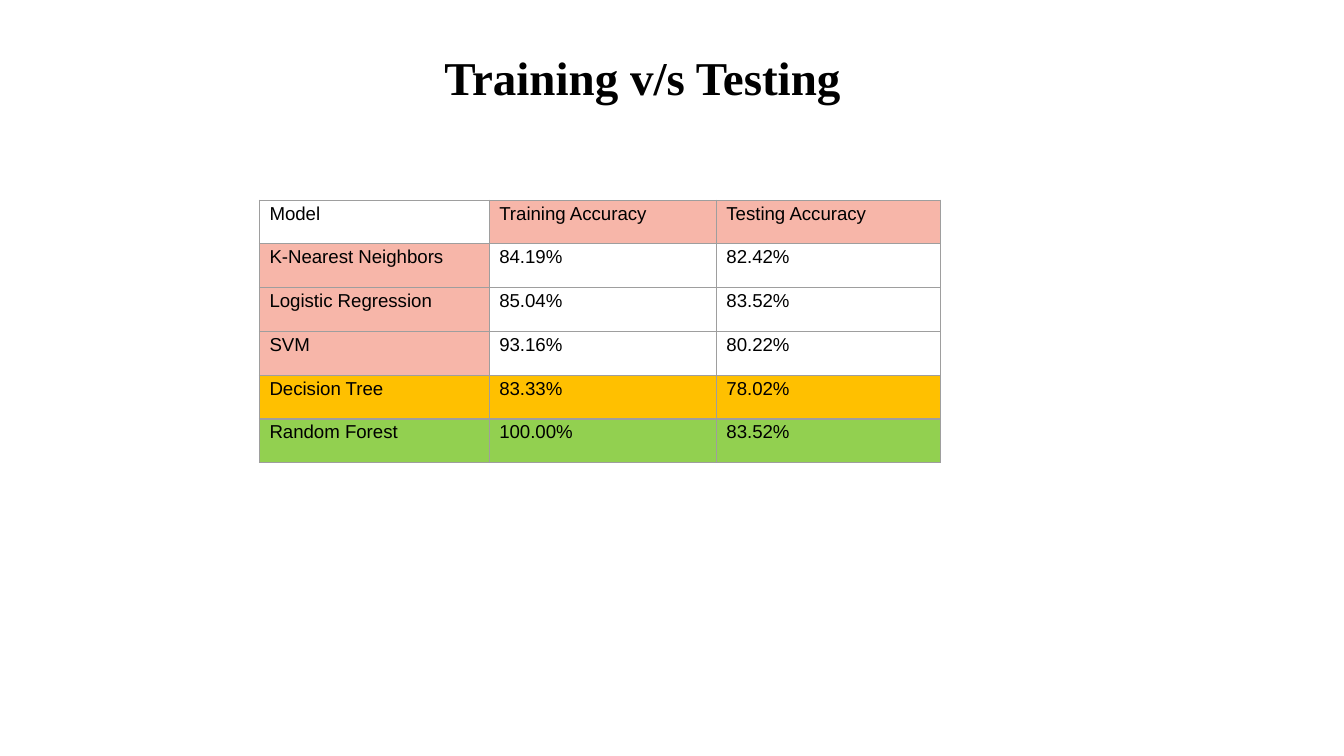
from lxml.etree import SubElement
from pptx import Presentation
from pptx.dml.color import RGBColor
from pptx.enum.text import MSO_ANCHOR, PP_ALIGN
from pptx.oxml.ns import qn
from pptx.util import Pt

BLACK = RGBColor(0x00, 0x00, 0x00)
GREY = RGBColor(0x9E, 0x9E, 0x9E)
PINK = RGBColor(0xF7, 0xB6, 0xA9)
AMBER = RGBColor(0xFF, 0xC0, 0x00)
GREEN = RGBColor(0x92, 0xD0, 0x50)

ROWS = [
    ("Model", "Training Accuracy", "Testing Accuracy"),
    ("K-Nearest Neighbors", "84.19%", "82.42%"),
    ("Logistic Regression", "85.04%", "83.52%"),
    ("SVM", "93.16%", "80.22%"),
    ("Decision Tree", "83.33%", "78.02%"),
    ("Random Forest", "100.00%", "83.52%"),
]
COL_WIDTHS = [123.1, 121.7, 120.2]
ROW_HEIGHT = 23.45
ROW_FILLS = {4: AMBER, 5: GREEN}  # weakest and strongest models


def style_run(run, font, size, bold=False):
    run.font.name = font
    run.font.size = Pt(size)
    run.font.bold = bold
    run.font.color.rgb = BLACK


def add_title(slide, text):
    tf = slide.shapes.add_textbox(Pt(20.2), Pt(26.6), Pt(648), Pt(29.5)).text_frame
    tf.word_wrap = True
    tf.vertical_anchor = MSO_ANCHOR.MIDDLE
    tf.margin_left = tf.margin_right = tf.margin_top = tf.margin_bottom = Pt(7.2)
    tf.text = text
    p = tf.paragraphs[0]
    p.alignment = PP_ALIGN.CENTER
    style_run(p.runs[0], "Times New Roman", 25.2, bold=True)


def set_borders(cell, color, width):
    tc_pr = cell._tc.get_or_add_tcPr()
    for side in ("a:lnL", "a:lnR", "a:lnT", "a:lnB"):
        ln = SubElement(tc_pr, qn(side), w=str(Pt(width)))
        fill = SubElement(ln, qn("a:solidFill"))
        SubElement(fill, qn("a:srgbClr"), val=str(color))


def cell_fill(row, col):
    """Whole-row highlight, else pink for the header row and column."""
    if row in ROW_FILLS:
        return ROW_FILLS[row]
    return PINK if (row == 0) != (col == 0) else None


def fill_cell(cell, text, color):
    cell.margin_left = cell.margin_right = Pt(5.4)
    cell.margin_top = cell.margin_bottom = 0
    set_borders(cell, GREY, 0.75)
    if color is None:
        cell.fill.background()
    else:
        cell.fill.solid()
        cell.fill.fore_color.rgb = color
    cell.text_frame.text = text
    p = cell.text_frame.paragraphs[0]
    p.line_spacing = 1.15
    style_run(p.runs[0], "Arial", 10)


def add_accuracy_table(slide):
    table = slide.shapes.add_table(
        len(ROWS), len(COL_WIDTHS), Pt(139), Pt(107.2),
        Pt(sum(COL_WIDTHS)), Pt(ROW_HEIGHT * len(ROWS))).table
    table.first_row = table.horz_banding = False
    for column, width in zip(table.columns, COL_WIDTHS):
        column.width = Pt(width)
    for r, values in enumerate(ROWS):
        table.rows[r].height = Pt(ROW_HEIGHT)
        for c, text in enumerate(values):
            fill_cell(table.cell(r, c), text, cell_fill(r, c))


def main():
    prs = Presentation()
    prs.slide_width, prs.slide_height = Pt(720), Pt(405)
    s = prs.slides.add_slide(prs.slide_layouts[6])

    # Heading
    add_title(s, "Training v/s Testing")

    # Model comparison
    add_accuracy_table(s)

    prs.save("out.pptx")


if __name__ == "__main__":
    main()
